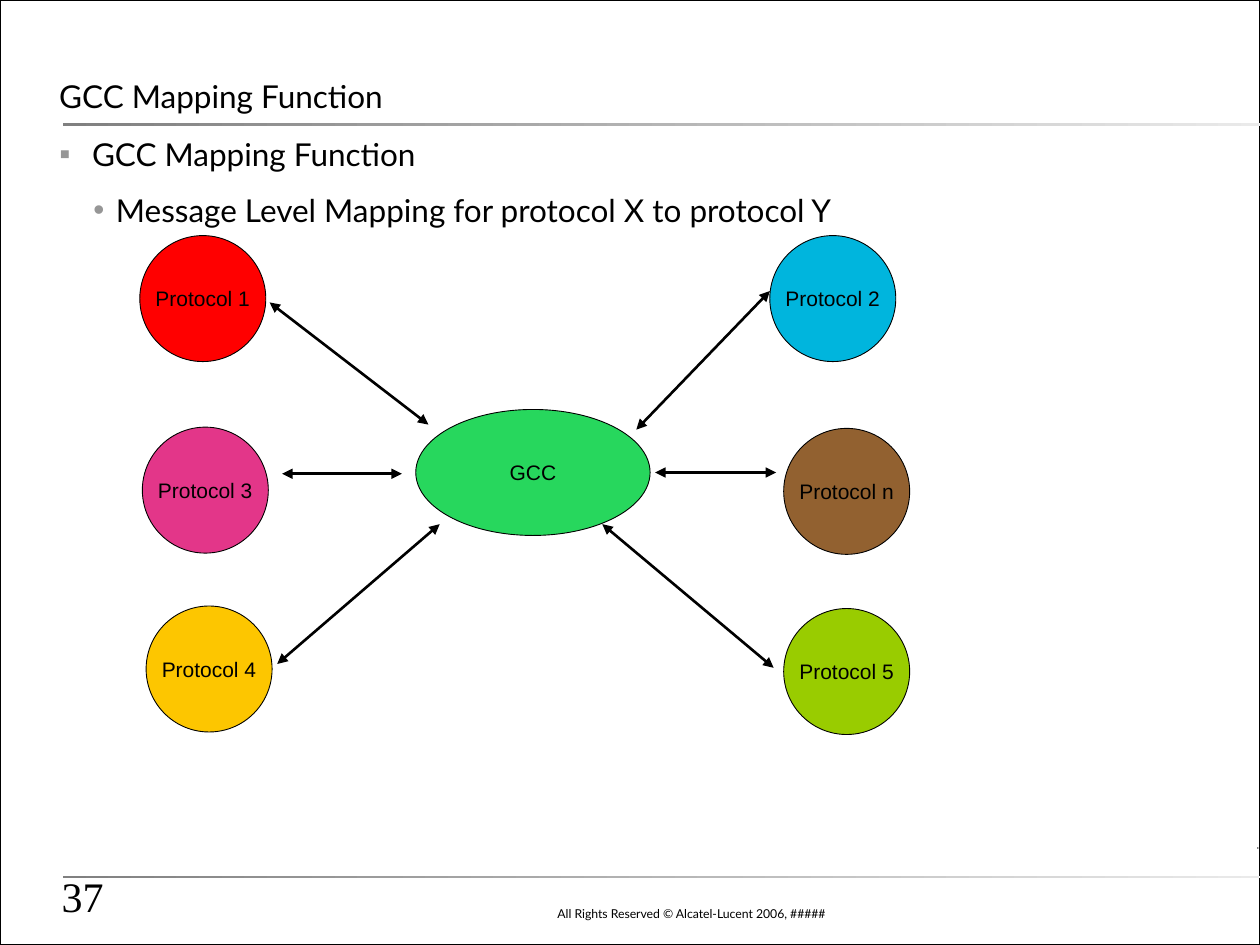
from lxml import etree
from pptx import Presentation
from pptx import util as u
from pptx.dml.color import RGBColor
from pptx.enum import shapes, text
from pptx.oxml.ns import qn

BLACK = "000000"
INSETS = (0.1, 0.05, 0.1, 0.05)
NO_INSETS = (0, 0, 0, 0)
TEXT_FORMAT = {"name": "Lato", "size": u.Pt(18)}
LABEL_FORMAT = {"name": "Arial", "size": u.Pt(12)}
FOOTER_FORMAT = {"name": "Lato", "size": u.Pt(7)}
NUMBER_FORMAT = {"name": "Times New Roman", "size": u.Pt(24)}

# left, top, fill, label
PROTOCOLS = [
    (1.11, 1.87, "FF0000", "Protocol 1"),
    (6.11, 1.87, "00B5DD", "Protocol 2"),
    (1.13, 3.39, "E33689", "Protocol 3"),
    (6.22, 3.4, "926130", "Protocol n"),
    (1.16, 4.81, "FDC600", "Protocol 4"),
    (6.22, 4.83, "99CC00", "Protocol 5"),
]

# start x, start y, end x, end y
ARROWS = [
    (2.14, 2.4, 3.4, 3.37),
    (5.05, 3.41, 6.11, 2.31),
    (2.24, 3.76, 3.19, 3.76),
    (5.2, 3.75, 6.16, 3.75),
    (2.2, 5.27, 3.49, 4.16),
    (4.78, 4.16, 6.14, 5.3),
]


def color(value):
    return RGBColor.from_string(value)


def inches(values):
    return [u.Inches(value) for value in values]


def set_attributes(target, values):
    for name, value in values.items():
        setattr(target, name, value)


def format_frame(frame, anchor, insets=INSETS, wrap=True):
    left, top, right, bottom = inches(insets)
    set_attributes(frame, {
        "auto_size": text.MSO_AUTO_SIZE.NONE, "word_wrap": wrap,
        "vertical_anchor": anchor, "margin_left": left, "margin_top": top,
        "margin_right": right, "margin_bottom": bottom,
    })


def write(paragraph, words, font_format, align=text.PP_ALIGN.LEFT, **spacing):
    set_attributes(paragraph, {"alignment": align, **spacing})
    run = paragraph.add_run()
    run.text = words
    set_attributes(run.font, font_format)
    run.font.color.rgb = color(BLACK)


def place(shape, box):
    left, top, width, height = inches(box)
    set_attributes(shape, {"left": left, "top": top, "width": width, "height": height})


def add_bullet(paragraph, character, margin, indent):
    properties = paragraph._p.get_or_add_pPr()
    properties.set("marL", str(u.Inches(margin)))
    properties.set("indent", str(u.Inches(indent)))
    bullet_color = etree.SubElement(properties, qn("a:buClr"))
    etree.SubElement(bullet_color, qn("a:srgbClr"), val="969696")
    etree.SubElement(properties, qn("a:buFont"), typeface="Arial")
    etree.SubElement(properties, qn("a:buChar"), char=character)


def add_title(slide, words):
    title = slide.shapes.title
    place(title, (0.47, 0.08, 9.03, 0.83))
    format_frame(title.text_frame, text.MSO_ANCHOR.BOTTOM, NO_INSETS)
    write(title.text_frame.paragraphs[0], words, TEXT_FORMAT, line_spacing=u.Pt(25.9))


def add_body(slide, items):
    body = slide.placeholders[1]
    place(body, (0.29, 1.04, 9, 4.95))
    frame = body.text_frame
    format_frame(frame, text.MSO_ANCHOR.TOP, NO_INSETS)
    for index, (words, character, margin, indent, spacing, after) in enumerate(items):
        paragraph = frame.add_paragraph() if index else frame.paragraphs[0]
        paragraph.level = index
        add_bullet(paragraph, character, margin, indent)
        write(paragraph, words, TEXT_FORMAT, line_spacing=u.Pt(spacing),
              space_before=u.Pt(0), space_after=u.Pt(after))


def add_text(slide, box, words, font_format, align):
    frame = slide.shapes.add_textbox(*inches(box)).text_frame
    format_frame(frame, text.MSO_ANCHOR.BOTTOM)
    write(frame.paragraphs[0], words, font_format, align)


def add_rule(slide, box, light="EAEAEA"):
    rule = slide.shapes.add_shape(shapes.MSO_SHAPE.RECTANGLE, *inches(box))
    rule.shadow.inherit = False
    rule.line.fill.background()
    rule.fill.gradient()
    rule.fill.gradient_angle = 180
    for stop, value in zip(rule.fill.gradient_stops, (light, "808080")):
        stop.color.rgb = color(value)


def add_frame(slide):
    frame = slide.shapes.add_shape(shapes.MSO_SHAPE.RECTANGLE, *inches((0, 0, 10, 7.5)))
    frame.shadow.inherit = False
    frame.fill.background()
    frame.line.color.rgb = color(BLACK)
    frame.line.width = u.Pt(1)


def add_node(slide, box, fill, label):
    node = slide.shapes.add_shape(shapes.MSO_SHAPE.OVAL, *inches(box))
    node.shadow.inherit = False
    node.fill.solid()
    node.fill.fore_color.rgb = color(fill)
    node.line.color.rgb = color(BLACK)
    node.line.width = u.Pt(0.5)
    format_frame(node.text_frame, text.MSO_ANCHOR.MIDDLE, wrap=False)
    write(node.text_frame.paragraphs[0], label, LABEL_FORMAT, text.PP_ALIGN.CENTER)


def add_double_arrow(slide, ends):
    arrow = slide.shapes.add_connector(shapes.MSO_CONNECTOR.STRAIGHT, *inches(ends))
    arrow.line.color.rgb = color(BLACK)
    arrow.line.width = u.Pt(1.5)
    for end in ("a:headEnd", "a:tailEnd"):
        etree.SubElement(arrow.line._get_or_add_ln(), qn(end), type="triangle")
    etree.SubElement(arrow._element.spPr, qn("a:effectLst"))


def main():
    presentation = Presentation()
    presentation.slide_width, presentation.slide_height = inches((10, 7.5))
    slide = presentation.slides.add_slide(presentation.slide_layouts[1])
    slide.background.fill.solid()
    slide.background.fill.fore_color.rgb = color("FFFFFF")

    # Page frame, rules and footer
    add_frame(slide)
    add_rule(slide, (9.98, 6.72, 0.01, 0.02), "D5D5D5")
    for top in (0.98, 6.95):
        add_rule(slide, (0.5, top, 9.53, 0.02))
    add_text(slide, (3.5, 7.11, 3.15, 0.25),
             "All Rights Reserved © Alcatel-Lucent 2006, #####",
             FOOTER_FORMAT, text.PP_ALIGN.RIGHT)
    add_text(slide, (0.39, 6.46, 3.49, 0.9), "37", NUMBER_FORMAT, text.PP_ALIGN.LEFT)

    # Title and list: words, bullet, margin, indent, line spacing, space after
    add_title(slide, "GCC Mapping Function")
    add_body(slide, [
        ("GCC Mapping Function", "▪", 0.44, -0.26, 23.9, 12),
        ("Message Level Mapping for protocol X to protocol Y", "•", 0.63, -0.18, 19.9, 8),
    ])

    # Mapping diagram
    add_node(slide, (3.3, 3.25, 1.86, 1), "27D75D", "GCC")
    for left, top, fill, label in PROTOCOLS:
        add_node(slide, (left, top, 1, 1), fill, label)
    for ends in ARROWS:
        add_double_arrow(slide, ends)

    presentation.save("out.pptx")


if __name__ == "__main__":
    main()
